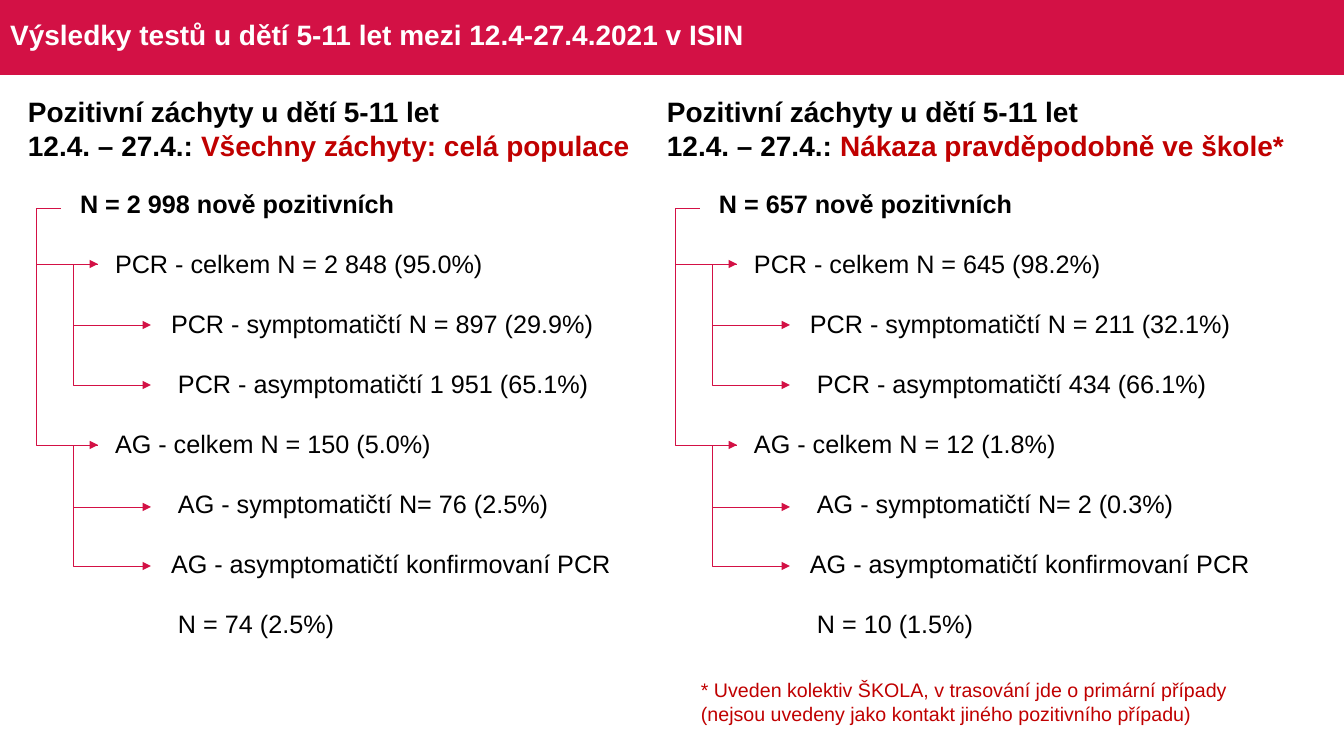
from dataclasses import dataclass

from lxml import etree
from pptx import Presentation
from pptx import util as u
from pptx.dml.color import RGBColor
from pptx.enum import shapes, text
from pptx.oxml import ns


@dataclass(frozen=True)
class Theme:
    font: str = "Arial"
    crimson: RGBColor = RGBColor(0xD3, 0x11, 0x45)
    red: RGBColor = RGBColor(0xC0, 0x00, 0x00)
    black: RGBColor = RGBColor(0, 0, 0)
    white: RGBColor = RGBColor(255, 255, 255)
    heading: int = 20
    body: int = 18
    note: int = 14
    line: float = 0.5


THEME = Theme()
EMU_PER_PX = 914400 / 100.8
COLUMN_STEP = 639
ROW_HEIGHT = 60
INDENTS = [0, 35, 91, 98, 35, 98, 91, 98]
START_Y, PCR_Y, AG_Y = 208, 264, 445
BRANCHES = {PCR_Y: (325, 385), AG_Y: (507, 566)}

COLUMNS = [
    ("Všechny záchyty: celá populace", 651, [
        "N = 2 998 nově pozitivních",
        "PCR - celkem N = 2 848 (95.0%)",
        "PCR - symptomatičtí N = 897 (29.9%)",
        "PCR - asymptomatičtí 1 951 (65.1%)",
        "AG - celkem N = 150 (5.0%)",
        "AG - symptomatičtí N= 76 (2.5%)",
        "AG - asymptomatičtí konfirmovaní PCR",
        "N = 74 (2.5%)",
    ]),
    ("Nákaza pravděpodobně ve škole*", 642, [
        "N = 657 nově pozitivních",
        "PCR - celkem N = 645 (98.2%)",
        "PCR - symptomatičtí N = 211 (32.1%)",
        "PCR - asymptomatičtí 434 (66.1%)",
        "AG - celkem N = 12 (1.8%)",
        "AG - symptomatičtí N= 2 (0.3%)",
        "AG - asymptomatičtí konfirmovaní PCR",
        "N = 10 (1.5%)",
    ]),
]


def px(*lengths):
    return [u.Emu(round(n * EMU_PER_PX)) for n in lengths]


def add_run(p, words, size, color, bold=False):
    r = p.add_run()
    r.text = words
    r.font.name = THEME.font
    r.font.size = u.Pt(size)
    r.font.bold = bold
    r.font.color.rgb = color


def add_band(s):
    band = s.shapes.add_shape(shapes.MSO_SHAPE.RECTANGLE, *px(0, 0, 1344, 75))
    band.shadow.inherit = False
    band.fill.solid()
    band.fill.fore_color.rgb = THEME.crimson
    band.line.fill.background()
    s.shapes._spTree.insert(2, band._element)


def set_title(s, words):
    sp = s.shapes.title
    sp.left, sp.top, sp.width, sp.height = px(0, 4, 1326, 64)
    tf = sp.text_frame
    tf.vertical_anchor = text.MSO_ANCHOR.MIDDLE
    p = tf.paragraphs[0]
    p.alignment = text.PP_ALIGN.LEFT
    p.line_spacing = 0.9
    add_run(p, words, THEME.heading, THEME.white, True)


def add_textbox(s, left, top, width, height, wrap):
    tf = s.shapes.add_textbox(*px(left, top, width, height)).text_frame
    tf.word_wrap = wrap
    tf.auto_size = text.MSO_AUTO_SIZE.SHAPE_TO_FIT_TEXT
    return tf


def add_heading(s, left, width, scope):
    tf = add_textbox(s, left, 90, width, 78, False)
    add_run(tf.paragraphs[0], "Pozitivní záchyty u dětí 5-11 let",
            THEME.heading, THEME.black, True)
    p = tf.add_paragraph()
    add_run(p, "12.4. – 27.4.: ", THEME.heading, THEME.black, True)
    add_run(p, scope, THEME.heading, THEME.red, True)


def add_counts(s, left, rows):
    frame = s.shapes.add_table(
        len(rows), 1, *px(left, 174, 606, ROW_HEIGHT * len(rows)))
    table = frame.table
    table.first_row = table.horz_banding = False
    for i, (words, indent) in enumerate(zip(rows, INDENTS)):
        cell = table.cell(i, 0)
        cell.fill.background()
        cell.vertical_anchor = text.MSO_ANCHOR.MIDDLE
        cell.margin_left, cell.margin_right = px(indent + 1, 1)
        cell.margin_top, cell.margin_bottom = px(1, 0)
        add_run(cell.text_frame.paragraphs[0], words,
                THEME.body, THEME.black, i == 0)


def add_bent_arrow(s, start, end, spine_x):
    arrow = s.shapes.add_connector(
        shapes.MSO_CONNECTOR.ELBOW, *px(*start, *end))
    arrow.line.color.rgb = THEME.crimson
    arrow.line.width = u.Pt(THEME.line)
    props = arrow._element.spPr
    guides = props.find(ns.qn("a:prstGeom")).get_or_add_avLst()
    bend = round(100000 * (spine_x - start[0]) / (end[0] - start[0]))
    etree.SubElement(guides, ns.qn("a:gd"), name="adj1", fmla=f"val {bend}")
    etree.SubElement(props.find(ns.qn("a:ln")), ns.qn("a:tailEnd"),
                     type="triangle")
    etree.SubElement(props, ns.qn("a:effectLst"))


def add_tree(s, dx):
    for parent_y, child_ys in BRANCHES.items():
        add_bent_arrow(s, (dx + 61, START_Y), (dx + 98, parent_y), dx + 36)
        for y in child_ys:
            add_bent_arrow(s, (dx + 98, parent_y), (dx + 151, y), dx + 73)


def add_footnote(s, words):
    tf = add_textbox(s, 691, 673, 587, 57, True)
    add_run(tf.paragraphs[0], words, THEME.note, THEME.red)


def main():
    prs = Presentation()
    prs.slide_width, prs.slide_height = px(1344, 756)
    s = prs.slides.add_slide(prs.slide_layouts[5])
    add_band(s)
    set_title(s, "Výsledky testů u dětí 5-11 let mezi 12.4-27.4.2021 v ISIN")
    for i, (scope, width, rows) in enumerate(COLUMNS):
        dx = i * COLUMN_STEP
        add_counts(s, dx + 79, rows)
        add_heading(s, dx + 18, width, scope)
        add_tree(s, dx)
    add_footnote(s, "* Uveden kolektiv ŠKOLA, v trasování jde o primární případy "
                    "(nejsou uvedeny jako kontakt jiného pozitivního případu)")
    prs.save("out.pptx")


if __name__ == "__main__":
    main()
